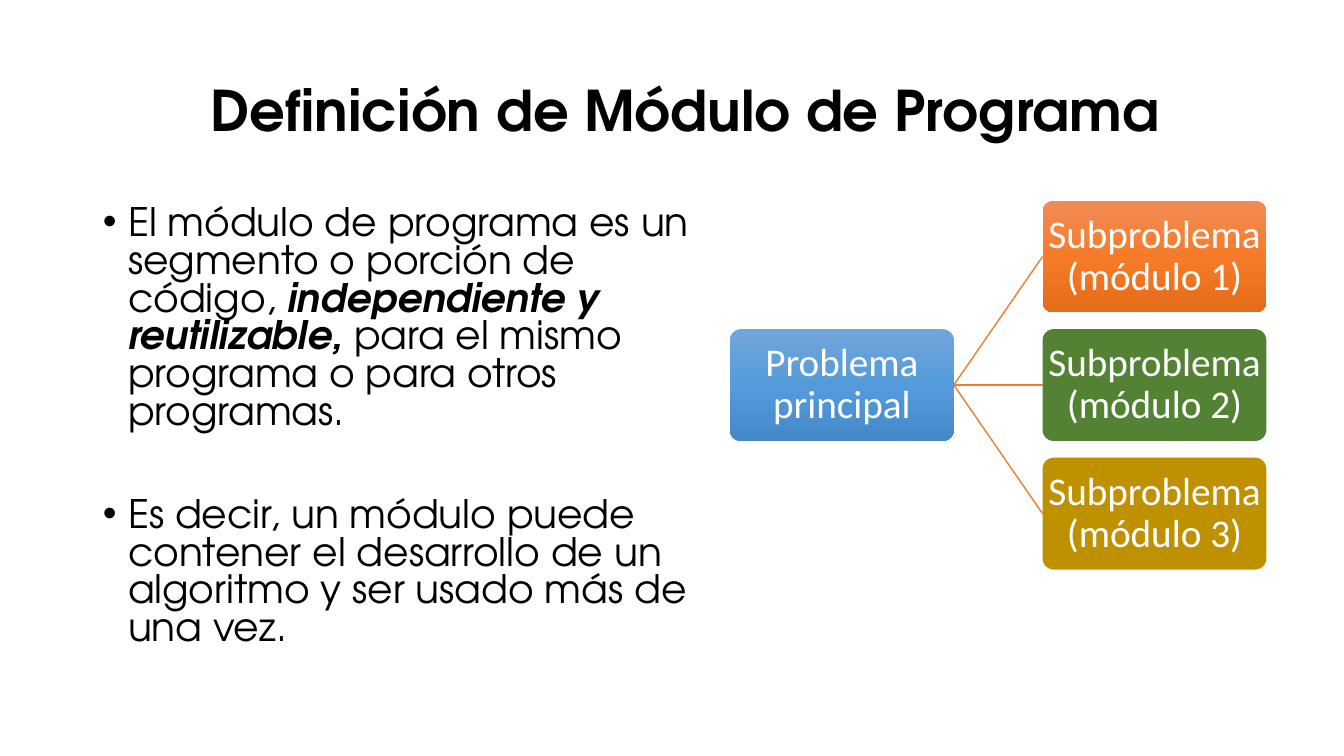
from copy import deepcopy
from dataclasses import dataclass

from pptx import Presentation
from pptx.dml.color import RGBColor
from pptx.enum.shapes import MSO_CONNECTOR as CONN, MSO_SHAPE as SHAPE
from pptx.enum.text import MSO_ANCHOR as ANCHOR, MSO_AUTO_SIZE as AUTO, PP_ALIGN as ALIGN
from pptx.oxml.ns import qn
from pptx.oxml.xmlchemy import OxmlElement
from pptx.util import Inches, Pt


@dataclass(frozen=True)
class Theme:
    text_font: str = "TeX Gyre Adventor"
    box_font: str = "Calibri"
    title_size: int = 40
    text_size: int = 28
    ink: str = "000000"
    white: str = "FFFFFF"
    line: str = "ED7D31"
    blue: tuple = ("71A6DB", "559BDB", "448ACA")
    orange: tuple = ("F18C57", "F67B28", "E56C19")
    green: tuple = ("548235",)
    gold: tuple = ("BF9000",)


THEME = Theme()


def rgb(value):
    return RGBColor.from_string(value)


def add_text(p, text, font=THEME.text_font, size=THEME.text_size, color=THEME.ink,
             bold=False, italic=False):
    r = p.add_run()
    r.text = text
    r.font.name, r.font.size = font, Pt(size)
    r.font.bold, r.font.italic = bold, italic
    r.font.color.rgb = rgb(color)
    return r


def place(sp, left, top, width, height):
    sp.left, sp.top = Inches(left), Inches(top)
    sp.width, sp.height = Inches(width), Inches(height)


def set_bullet(p, indent, char="•"):
    pPr = p._p.get_or_add_pPr()
    pPr.set("marL", str(Inches(indent)))
    pPr.set("indent", str(-Inches(indent)))
    bullet = OxmlElement("a:buChar")
    bullet.set("char", char)
    pPr.append(bullet)


def paint(sp, colors):
    """Solid fill for one color, vertical gradient for three."""
    if len(colors) == 1:
        sp.fill.solid()
        sp.fill.fore_color.rgb = rgb(colors[0])
        return
    sp.fill.gradient()
    sp.fill.gradient_angle = 270
    first = sp._element.spPr.find(qn("a:gradFill")).find(qn("a:gsLst"))[0]
    first.addnext(deepcopy(first))
    for i, (stop, color) in enumerate(zip(sp.fill.gradient_stops, colors)):
        stop.color.rgb = rgb(color)
        stop.position = i / (len(colors) - 1)


def fill_title(sp, text, box):
    place(sp, *box)
    tf = sp.text_frame
    tf.auto_size, tf.vertical_anchor = AUTO.NONE, ANCHOR.MIDDLE
    p = tf.paragraphs[0]
    p.alignment, p.line_spacing = ALIGN.LEFT, 0.9
    add_text(p, text, size=THEME.title_size, bold=True)


def fill_body(sp, items, box):
    """Each item is a list of (text, emphasized) pairs."""
    place(sp, *box)
    tf = sp.text_frame
    tf.auto_size, tf.vertical_anchor = AUTO.NONE, ANCHOR.TOP
    for i, item in enumerate(items):
        p = tf.paragraphs[0] if i == 0 else tf.add_paragraph()
        p.line_spacing = 0.8
        p.space_before = Pt(47 if i else 10)
        set_bullet(p, 0.25)
        for text, strong in item:
            add_text(p, text, bold=strong, italic=strong)


def add_box(slide, text, colors, left, top, width, height):
    sp = slide.shapes.add_shape(SHAPE.ROUNDED_RECTANGLE, Inches(left), Inches(top),
                                Inches(width), Inches(height))
    sp.adjustments[0] = 0.1
    sp.shadow.inherit = False
    sp.line.fill.background()
    paint(sp, colors)
    tf = sp.text_frame
    tf.word_wrap, tf.vertical_anchor = True, ANCHOR.MIDDLE
    tf.margin_left = tf.margin_right = tf.margin_top = tf.margin_bottom = Inches(0.02)
    p = tf.paragraphs[0]
    p.alignment, p.line_spacing = ALIGN.CENTER, 0.9
    add_text(p, text, font=THEME.box_font, color=THEME.white)
    return sp


def link(slide, start, end):
    """Join the right side of start to the left side of end."""
    line = slide.shapes.add_connector(CONN.STRAIGHT, 0, 0, 0, 0)
    line.begin_connect(start, 3)
    line.end_connect(end, 1)
    line.line.color.rgb = rgb(THEME.line)
    line.line.width = Pt(1)
    line._element.spPr.append(OxmlElement("a:effectLst"))


def add_tree(slide, root, branches, box):
    left, top, width, height = box
    box_w, box_h = 2.22, 1.11
    step = (height - box_h) / (len(branches) - 1)
    main = add_box(slide, *root, left, top + (height - box_h) / 2, box_w, box_h)
    for i, branch in enumerate(branches):
        sub = add_box(slide, *branch, left + width - box_w, top + i * step, box_w, box_h)
        link(slide, main, sub)


prs = Presentation()
prs.slide_width, prs.slide_height = Inches(13.33), Inches(7.5)
slide = prs.slides.add_slide(prs.slide_layouts[1])

# Title
fill_title(slide.shapes.title, "Definición de Módulo de Programa", (1.99, 0.4, 10.43, 1.45))

# Definition
fill_body(slide.placeholders[1], [
    [("El módulo de programa es un segmento o porción de código, ", False),
     ("independiente y reutilizable,", True),
     (" para el mismo programa o para otros programas.", False)],
    [("Es decir, un módulo puede contener el desarrollo de un algoritmo "
      "y ser usado más de una vez.", False)],
], (0.92, 2, 6.32, 4.76))

# Problem split into modules
colors = (THEME.orange, THEME.green, THEME.gold)
branches = [(f"Subproblema (módulo {n})", c) for n, c in enumerate(colors, 1)]
add_tree(slide, ("Problema principal", THEME.blue), branches, (7.24, 1.99, 5.32, 3.66))

prs.save("out.pptx")
